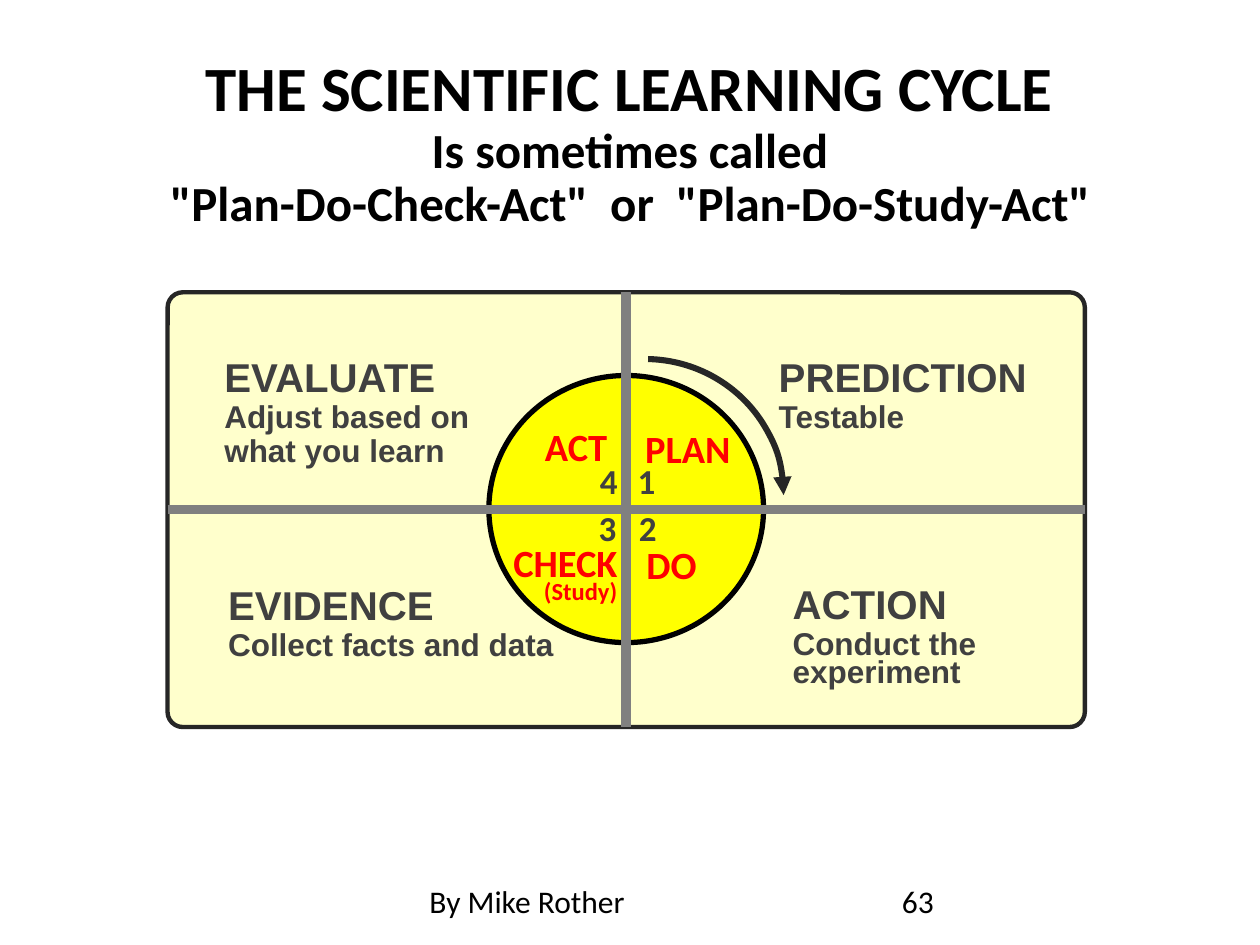
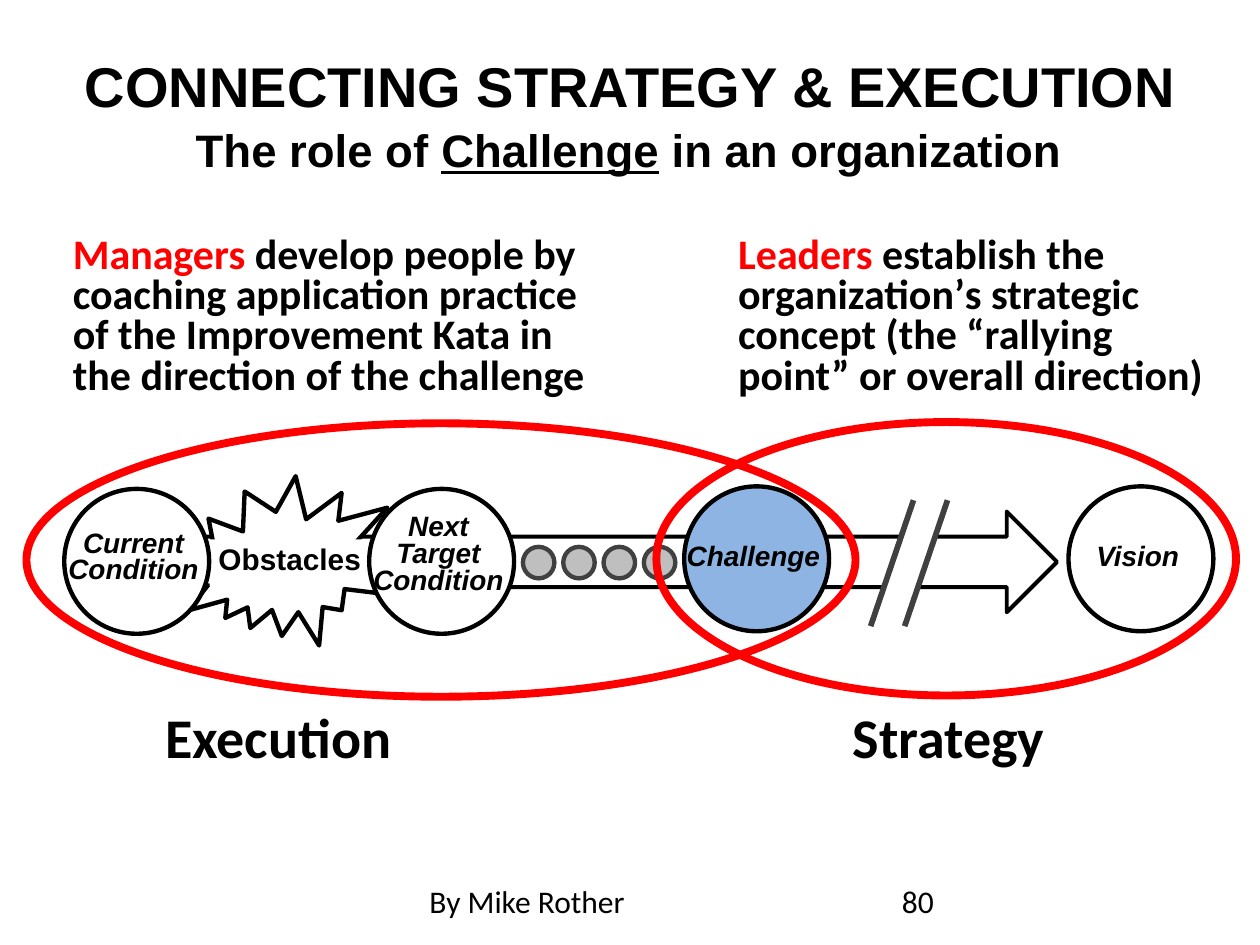
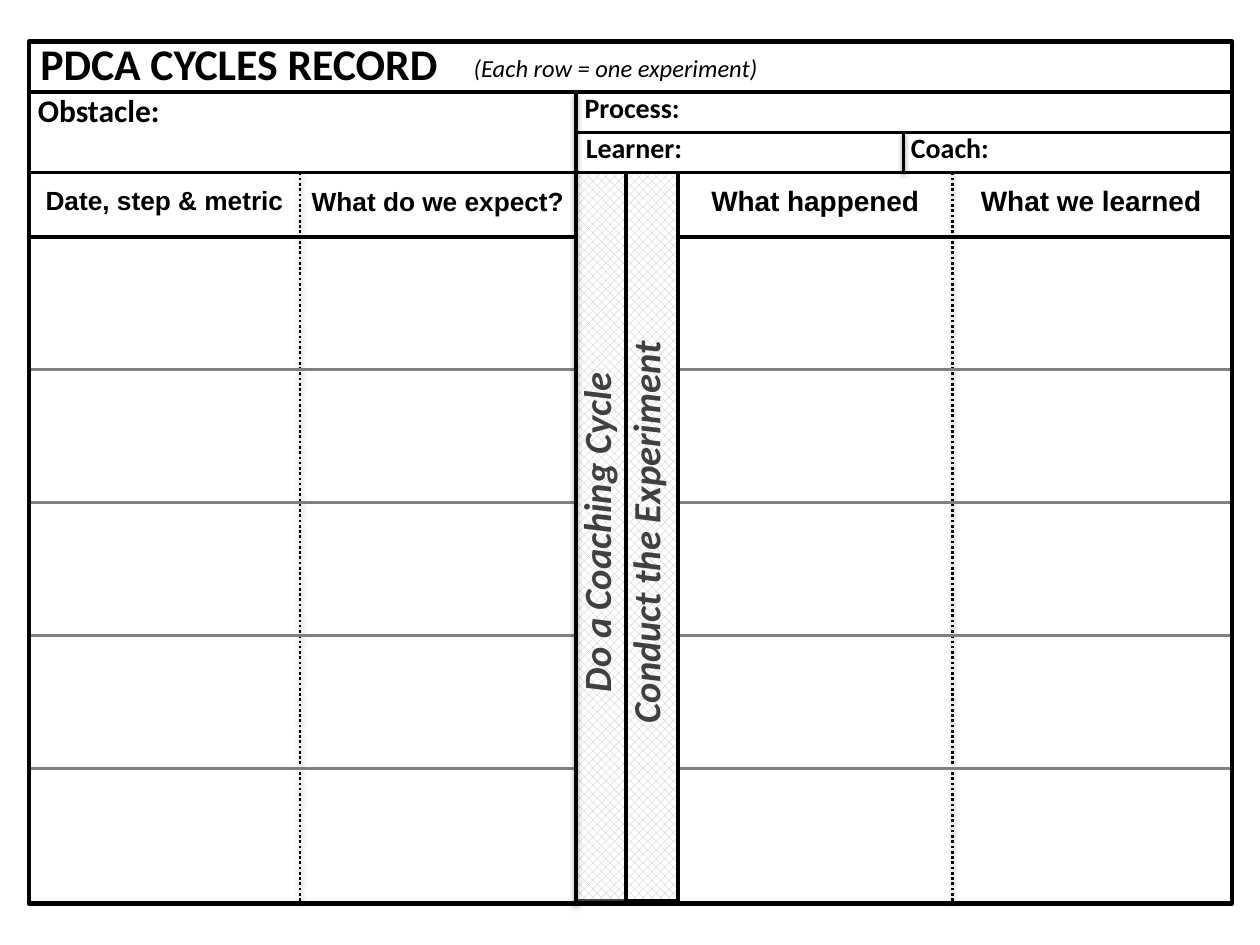
"""Build three slides on the learning cycle, strategy and the cycles record."""
import pptx
import pptx.util
import pptx.dml.color
import pptx.enum.dml
import pptx.enum.shapes
import pptx.enum.text
import pptx.oxml
import pptx.oxml.ns

INK = {
    "black": "000000", "dark": "262626", "slate": "404040", "grey": "808080",
    "dot": "BFBFBF", "white": "FFFFFF", "cream": "FFFFCC", "gold": "FFFF00",
    "red": "FF0000", "blue": "8EB4E3",
}
SHAPE = pptx.enum.shapes.MSO_SHAPE
ALIGN = {
    "left": pptx.enum.text.PP_ALIGN.LEFT,
    "mid": pptx.enum.text.PP_ALIGN.CENTER,
    "right": pptx.enum.text.PP_ALIGN.RIGHT,
}
TIGHT = (0.09, 0.04)
LOOSE = (0.1, 0.05)
SHADE = ('<a:outerShdw blurRad="39370" dist="20320" dir="5400000" rotWithShape="0">'
         '<a:srgbClr val="000000"><a:alpha val="38000"/></a:srgbClr></a:outerShdw>')


def tint(name):
    """Give the named colour."""
    return pptx.dml.color.RGBColor.from_string(INK[name])


def spot(box, left, top, wide, high):
    """Give a box whose offset is counted from an outer box."""
    return box[0] + left, box[1] + top, wide, high


def inch(nums):
    """Turn numbers into lengths."""
    return [pptx.util.Inches(num) for num in nums]


def node(tag, inner=""):
    """Make one drawing element."""
    space = pptx.oxml.ns.nsdecls("a")
    return pptx.oxml.parse_xml(f"<a:{tag} {space}>{inner}</a:{tag}>")


def write(sl, box, *lines, size, font="Calibri", color="black", bold=True, ital=False,
          under=False, align="left", gap=None, pad=TIGHT, wrap=True, turn=0):
    """Add text; a line is a string or a list of (string, changes) runs."""
    base = dict(size=size, font=font, color=color, bold=bold, ital=ital,
                under=under, gap=gap)
    part = sl.shapes.add_textbox(*inch(box))
    part.rotation = turn
    frame = part.text_frame
    frame.word_wrap = wrap
    frame.margin_left = frame.margin_right = pptx.util.Inches(pad[0])
    frame.margin_top = frame.margin_bottom = pptx.util.Inches(pad[1])
    for num, line in enumerate(lines):
        para = frame.add_paragraph() if num else frame.paragraphs[0]
        para.alignment = ALIGN[align]
        for words, change in [(line, {})] if isinstance(line, str) else line:
            look = {**base, **change}
            if look["gap"]:
                para.line_spacing = look["gap"]
            run = para.add_run()
            run.text = words
            run.font.size = pptx.util.Pt(look["size"])
            run.font.name = look["font"]
            run.font.bold = look["bold"]
            run.font.italic = look["ital"]
            run.font.underline = look["under"]
            run.font.color.rgb = tint(look["color"])


def draw(sl, kind, box, fill=None, line=None, width=1, turn=0):
    """Add a preset shape with plain fill and line."""
    part = sl.shapes.add_shape(kind, *inch(box))
    part.shadow.inherit = False
    part.rotation = turn
    if fill:
        part.fill.solid()
        part.fill.fore_color.rgb = tint(fill)
    else:
        part.fill.background()
    if line:
        part.line.color.rgb = tint(line)
        part.line.width = pptx.util.Pt(width)
    else:
        part.line.fill.background()
    return part


def rule(sl, box, start, end, color="black", width=2, shade=False, dots=False):
    """Add a straight line between two points counted from the box."""
    ends = [box[0] + start[0], box[1] + start[1], box[0] + end[0], box[1] + end[1]]
    link = sl.shapes.add_connector(pptx.enum.shapes.MSO_CONNECTOR.STRAIGHT, *inch(ends))
    link.line.color.rgb = tint(color)
    link.line.width = pptx.util.Pt(width)
    if dots:
        link.line.dash_style = pptx.enum.dml.MSO_LINE.ROUND_DOT
    link._element.spPr.append(node("effectLst", SHADE if shade else ""))
    return link


def foot(sl, box, page):
    """Add the author and the page number."""
    for left, wide, words in ((0, 3.38, "By Mike Rother"), (3.75, 2.25, page)):
        write(sl, spot(box, left, 0, wide, 0.4), words, size=18, bold=False, pad=LOOSE)


def cycle(sl, box):
    """Draw the four fields with the wheel in their middle."""
    wide, high = box[2:]
    card = draw(sl, SHAPE.ROUNDED_RECTANGLE, box, "cream", "dark", 2.5)
    card.adjustments[0] = 0.035
    draw(sl, SHAPE.OVAL, spot(box, 2.55, 0.66, 2.18, 2.12), "gold", "black", 3)
    for start, end, sides in (((wide / 2, 0), (wide / 2, high), (0, 2)),
                              ((0, high / 2), (wide, high / 2), (1, 3))):
        link = rule(sl, box, start, end, "grey", 5.5)
        link.begin_connect(card, sides[0])
        link.end_connect(card, sides[1])

    fields = (
        (4.76, 0.48, 2.45, "PREDICTION", ["Testable"]),
        (4.87, 2.28, 2.45, "ACTION", ["Conduct the", "experiment"]),
        (0.36, 0.48, 2.45, "EVALUATE", ["Adjust based on what you learn"]),
        (0.39, 2.29, 2.88, "EVIDENCE", ["Collect facts and data"]),
    )
    for left, top, span, head, notes in fields:
        body = [[(words, {"size": 18, "gap": 0.7 if num else 0.9})]
                for num, words in enumerate(notes)]
        write(sl, spot(box, left, top, span, 0.95), head, *body,
              size=23, font="Arial", color="slate", gap=0.9)

    arc = draw(sl, SHAPE.ARC, spot(box, 2.69, 0.53, 2.2, 2.16), None, "dark", 3.5)
    arc.adjustments[0], arc.adjustments[1] = 162.775, 0
    tail = node("tailEnd")
    tail.set("type", "triangle")
    arc.line._get_or_add_ln().append(tail)

    steps = (
        (3.7, 1.01, "left", None, ["PLAN"]),
        (3.71, 1.93, "left", None, ["DO"]),
        (2.65, 2.02, "right", 0.7, ["CHECK", [("(Study)", {"size": 14})]]),
        (2.57, 1, "right", None, ["ACT"]),
    )
    for left, top, align, gap, lines in steps:
        write(sl, spot(box, left, top, 1.01, 0.46), *lines,
              size=22, color="red", align=align, gap=gap)
    for left, top, words in ((3.64, 1.29, "1"), (3.65, 1.66, "2"),
                             (3.33, 1.66, "3"), (3.34, 1.29, "4")):
        write(sl, spot(box, left, top, 0.32, 0.43), words, size=20, color="slate")


def disc(sl, box, *lines, fill="white"):
    """Draw a round stage with its lines of text in the middle."""
    draw(sl, SHAPE.OVAL, box, fill, "black", 2.5)
    more = len(lines) - 1
    write(sl, spot(box, -0.13, 0.42 - 0.13 * more, 1.36, 0.33 + 0.21 * more), *lines,
          size=16, font="Arial", ital=True, align="mid", gap=0.8, pad=LOOSE)


def path_way(sl, box):
    """Draw the way from the current condition to the vision."""
    size = 1.15
    draw(sl, SHAPE.RIGHT_ARROW, spot(box, 0.7, 0.71, 7.48, 0.8), "white", "black", 2.25)
    disc(sl, spot(box, 8.27, 0.51, size, size), "Vision")
    draw(sl, SHAPE.RECTANGLE, spot(box, 6.88, 0.75, 0.25, 0.75), "white", turn=19)
    for left in (7.04, 7.31):
        rule(sl, box, (left, 0.62), (left - 0.34, 1.62), "slate", 3.25)
    draw(sl, SHAPE.EXPLOSION2, spot(box, 1.37, 0.31, 1.51, 1.64),
         "white", "black", 2.5, turn=39.9)
    draw(sl, SHAPE.RECTANGLE, spot(box, 0.95, 0.93, 2.58, 0.35), "white")
    disc(sl, spot(box, 2.72, 0.53, size, size), "Next", "Target", "Condition")
    disc(sl, spot(box, 0.3, 0.53, size, size), "Current", "Condition")
    write(sl, spot(box, 1.42, 0.89, 1.34, 0.39), "Obstacles",
          size=17, font="Arial", align="mid", pad=LOOSE, wrap=False)
    disc(sl, spot(box, 5.22, 0.51, size, size), "Challenge", fill="blue")
    for num in range(4):
        draw(sl, SHAPE.OVAL, spot(box, 3.94 + 0.32 * num, 0.99, 0.25, 0.25),
             "dot", "slate", 2.5)
    for left, top, wide in ((5, 0, 4.6), (0, 0.01, 6.58)):
        draw(sl, SHAPE.OVAL, spot(box, left, top, wide, 2.17), None, "red", 4.5)
    for left, words in ((0.55, "Execution"), (5.87, "Strategy")):
        write(sl, spot(box, left, 2.18, 2.9, 0.64), words,
              size=32, align="mid", pad=LOOSE)


def roles(sl, box):
    """Tell what managers and leaders do."""
    parts = (
        (0, 4.43, "Managers", " develop people by coaching application practice of "
                              "the Improvement Kata in the direction of the challenge"),
        (5.28, 4.08, "Leaders", " establish the organizationʼs strategic concept "
                                "(the “rallying point” or overall direction)"),
    )
    for left, wide, who, what in parts:
        write(sl, spot(box, left, 0, wide, box[3]), [(who, {"color": "red"}), (what, {})],
              size=24, gap=0.8, pad=LOOSE)


def grid(sl, box):
    """Draw the rules, bands and frame of the record."""
    wide, high = box[2:]
    top, head, pitch = 1.04, 1.55, 1.055
    mid = 4.34
    rule(sl, box, (0, 0.4), (wide, 0.4), width=2.5)
    rule(sl, box, (0, head), (wide, head))
    for left in (7.33, 2.15):
        rule(sl, box, (left, top), (left, high), width=1.5, shade=True, dots=True)
    for num in range(1, 5):
        level = head + pitch * num
        rule(sl, box, (0, level), (wide, level), "grey", 1.5)
    for left, color in ((mid, "slate"), (mid + 0.4, "black")):
        band = draw(sl, SHAPE.RECTANGLE, spot(box, left, top, 0.41, 5.78),
                    None, color, 2)
        band.fill.patterned()
        band.fill.pattern = pptx.enum.dml.MSO_PATTERN.PERCENT_50
        band.fill.fore_color.rgb = tint("dot")
        band.fill.back_color.rgb = tint("white")
    rule(sl, box, (mid, 0.4), (mid, high), shade=True)
    draw(sl, SHAPE.RECTANGLE, box, None, "black", 2.5)
    rule(sl, box, (0, top), (wide, top))
    rule(sl, box, (mid, 0.72), (wide, 0.72))
    rule(sl, box, (6.94, 0.72), (6.94, top), shade=True)


def labels(sl, box):
    """Write the words of the record."""
    write(sl, spot(box, 0, -0.08, 4.77, 0.51), "PDCA CYCLES RECORD", size=25)
    write(sl, spot(box, 3.44, 0.05, 2.86, 0.33), "(Each row = one experiment)",
          size=14, bold=False, ital=True)
    for left, top, words, size in ((-0.02, 0.35, "Obstacle:", 18),
                                   (4.32, 0.35, "Process:", 16),
                                   (4.33, 0.67, "Learner:", 16),
                                   (6.91, 0.67, "Coach:", 16)):
        write(sl, spot(box, left, top, 1.8, 0.36), words, size=size)
    for left, top, wide, words, size, gap in (
            (0, 1.12, 2.15, "Date, step & metric", 15, 0.9),
            (2.15, 1.15, 2.19, "What do we expect?", 15, 0.8),
            (5.15, 1.12, 2.18, "What happened", 16, 0.9),
            (7.33, 1.12, 2.2, "What we learned", 16, 0.9)):
        write(sl, spot(box, left, top, wide, 0.34), words,
              size=size, font="Arial", align="mid", gap=gap)
    for left, words in ((2.6, "Do a Coaching Cycle"), (2.99, "Conduct the Experiment")):
        write(sl, spot(box, left, 3.66, 3.82, 0.47), words,
              size=22, color="slate", ital=True, align="mid", turn=270)


def main():
    """Build and save the three slides."""
    deck = pptx.Presentation()
    deck.slide_width, deck.slide_height = inch((10, 7.5))
    first, second, third = [deck.slides.add_slide(deck.slide_layouts[6])
                            for _ in range(3)]
    base = (3.31, 6.95, 6, 0.4)

    cycle(first, (1.33, 2.32, 7.28, 3.45))
    foot(first, base, "63")
    write(first, (0.27, 0.46, 9.45, 0.6), "THE SCIENTIFIC LEARNING CYCLE",
          size=36, align="mid", gap=0.8)
    write(first, (0, 0.96, 10, 0.95), "Is sometimes called",
          "\"Plan-Do-Check-Act\"  or  \"Plan-Do-Study-Act\"",
          size=28, align="mid", gap=0.9)

    write(second, (0.41, 0.43, 9.19, 0.58), "CONNECTING STRATEGY & EXECUTION",
          size=32, font="Arial", align="mid", gap=0.9)
    write(second, (0.71, 0.92, 8.56, 0.54),
          [("The role of ", {}), ("Challenge", {"under": True}),
           (" in an organization", {})],
          size=26, font="Arial", align="mid", pad=LOOSE)
    roles(second, (0.48, 1.83, 9.36, 1.41))
    path_way(second, (0.21, 3.35, 9.6, 2.18))
    foot(second, base, "80")

    form = (0.23, 0.33, 9.55, 6.84)
    grid(third, form)
    labels(third, form)
    deck.save("out.pptx")


if __name__ == "__main__":
    main()
